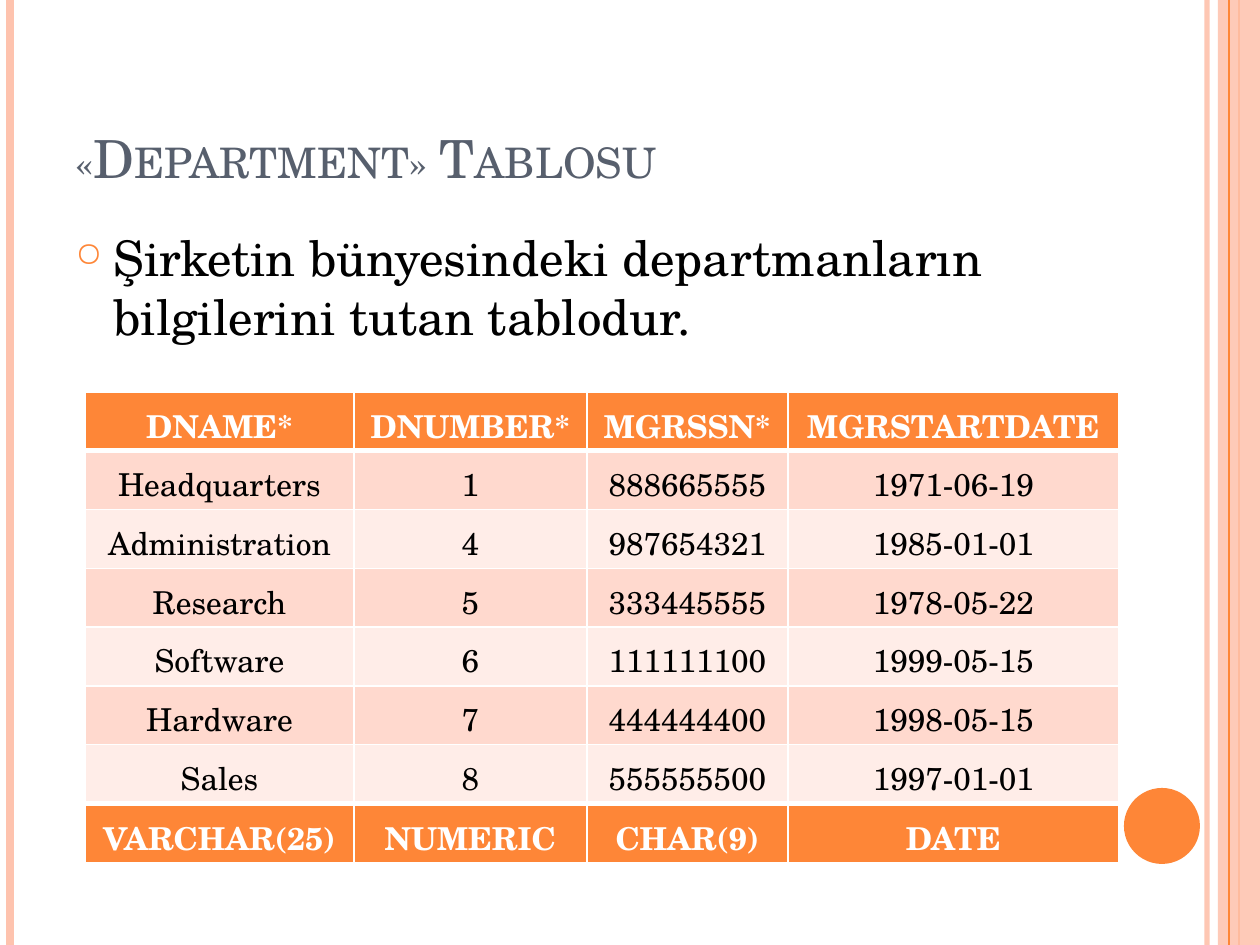
from dataclasses import dataclass

import pptx
import pptx.dml.color
import pptx.enum.shapes
import pptx.enum.text
import pptx.oxml.ns
import pptx.util
from lxml import etree

SCALE = 914400 / 126
FACE = "TeX Gyre Schola"
ORANGE, PEACH, WHITE, BLACK = "FE8637", "FEC3AE", "FFFFFF", "000000"
BANDS = ("FFD9CE", "FFEDE8")
COLS = (269, 233, 201, 331)
ROW = 51
ROWS = (
    ("DNAME*", "DNUMBER*", "MGRSSN*", "MGRSTARTDATE"),
    ("Headquarters", "1", "888665555", "1971-06-19"),
    ("Administration", "4", "987654321", "1985-01-01"),
    ("Research", "5", "333445555", "1978-05-22"),
    ("Software", "6", "111111100", "1999-05-15"),
    ("Hardware", "7", "444444400", "1998-05-15"),
    ("Sales", "8", "555555500", "1997-01-01"),
    ("VARCHAR(25)", "NUMERIC", "CHAR(9)", "DATE"),
)


@dataclass
class Stripe:
    x: int
    color: str
    width: float
    alpha: int = 100


@dataclass
class Box:
    x: int
    y: int
    w: int
    h: int

    def emu(self) -> tuple:
        return px(self.x), px(self.y), px(self.w), px(self.h)


def px(n: int) -> int:
    return round(n * SCALE)


def rgb(color: str) -> pptx.dml.color.RGBColor:
    return pptx.dml.color.RGBColor.from_string(color)


def sub(node, tag: str, **attrs: str):
    return etree.SubElement(node, pptx.oxml.ns.qn(tag), **attrs)


def fade(shape, alpha: int) -> None:
    if alpha < 100:
        tone = next(shape._element.spPr.iter(pptx.oxml.ns.qn("a:srgbClr")))
        sub(tone, "a:alpha", val=str(alpha * 1000))


def draw_stripe(slide, stripe: Stripe) -> None:
    kind = pptx.enum.shapes.MSO_CONNECTOR.STRAIGHT
    x = px(stripe.x)
    line = slide.shapes.add_connector(kind, x, 0, x, px(945))
    line.line.color.rgb = rgb(stripe.color)
    line.line.width = pptx.util.Pt(stripe.width)
    fade(line, stripe.alpha)
    sub(line._element.spPr, "a:effectLst")


def draw_shape(slide, kind, box: Box, color: str, alpha: int = 100) -> None:
    shape = slide.shapes.add_shape(kind, *box.emu())
    shape.shadow.inherit = False
    shape.fill.solid()
    shape.fill.fore_color.rgb = rgb(color)
    shape.line.fill.background()
    fade(shape, alpha)


def style(para, size: int, color: str, bold: bool = False) -> None:
    font = para.font
    font.name, font.size, font.bold = FACE, pptx.util.Pt(size), bold
    font.color.rgb = rgb(color)


def add_text(slide, box: Box, text: str, size: int, color: str):
    frame = slide.shapes.add_textbox(*box.emu()).text_frame
    frame.word_wrap = True
    para = frame.paragraphs[0]
    para.text = text
    style(para, size, color)
    return frame, para


def add_bullet(para, char: str, color: str, indent: int) -> None:
    props = para._p.get_or_add_pPr()
    props.set("marL", str(px(indent)))
    props.set("indent", str(-px(indent)))
    tint = etree.Element(pptx.oxml.ns.qn("a:buClr"))
    sub(tint, "a:srgbClr", val=color)
    size = etree.Element(pptx.oxml.ns.qn("a:buSzPct"), val="70000")
    mark = etree.Element(pptx.oxml.ns.qn("a:buChar"), char=char)
    for node in (tint, size, mark):
        props.find(pptx.oxml.ns.qn("a:defRPr")).addprevious(node)


def set_edges(cell, top: int, bottom: int) -> None:
    props = cell._tc.get_or_add_tcPr()
    for spot, (side, width) in enumerate(
        (("L", 1), ("R", 1), ("T", top), ("B", bottom))
    ):
        edge = etree.Element(
            pptx.oxml.ns.qn(f"a:ln{side}"), w=str(pptx.util.Pt(width))
        )
        sub(sub(edge, "a:solidFill"), "a:srgbClr", val=WHITE)
        props.insert(spot, edge)


def fill_cell(cell, text: str, row: int) -> None:
    last = len(ROWS) - 1
    strong = row in (0, last)
    cell.margin_top, cell.margin_bottom = px(10), px(11)
    cell.fill.solid()
    cell.fill.fore_color.rgb = rgb(ORANGE if strong else BANDS[(row - 1) % 2])
    para = cell.text_frame.paragraphs[0]
    para.text = text
    para.alignment = pptx.enum.text.PP_ALIGN.CENTER
    style(para, 18, WHITE if strong else BLACK, strong)
    set_edges(cell, 3 if row in (1, last) else 1, 3 if row in (0, last - 1) else 1)


def draw_table(slide, x: int, y: int) -> None:
    box = Box(x, y, sum(COLS), ROW * len(ROWS))
    table = slide.shapes.add_table(len(ROWS), len(COLS), *box.emu()).table
    for col, width in zip(table.columns, COLS):
        col.width = px(width)
    for r, texts in enumerate(ROWS):
        table.rows[r].height = px(ROW)
        for c, text in enumerate(texts):
            fill_cell(table.cell(r, c), text, r)


def main() -> None:
    deck = pptx.Presentation()
    deck.slide_width, deck.slide_height = px(1260), px(945)
    slide = deck.slides.add_slide(deck.slide_layouts[6])
    kinds = pptx.enum.shapes.MSO_SHAPE

    # Side stripes and circle
    for stripe in (
        Stripe(1207, PEACH, 3, 93),
        Stripe(10, PEACH, 4.5),
        Stripe(1239, ORANGE, 1.5),
    ):
        draw_stripe(slide, stripe)
    draw_shape(slide, kinds.RECTANGLE, Box(1218, 0, 42, 945), PEACH, 87)
    draw_stripe(slide, Stripe(1229, ORANGE, 0.75))
    draw_shape(slide, kinds.OVAL, Box(1124, 788, 76, 76), ORANGE)

    # Title in small capitals
    frame, para = add_text(
        slide, Box(63, 38, 1029, 157), "«Department» Tablosu", 30, "575F6D"
    )
    frame.vertical_anchor = pptx.enum.text.MSO_ANCHOR.BOTTOM
    para.font._rPr.set("cap", "small")

    # Department table
    draw_table(slide, 85, 392)

    # Description
    note = "Şirketin bünyesindeki departmanların bilgilerini tutan tablodur."
    _, para = add_text(slide, Box(63, 221, 1029, 173), note, 28, BLACK)
    para.space_before = pptx.util.Pt(6)
    add_bullet(para, "○", ORANGE, 38)

    deck.save("out.pptx")


if __name__ == "__main__":
    main()
